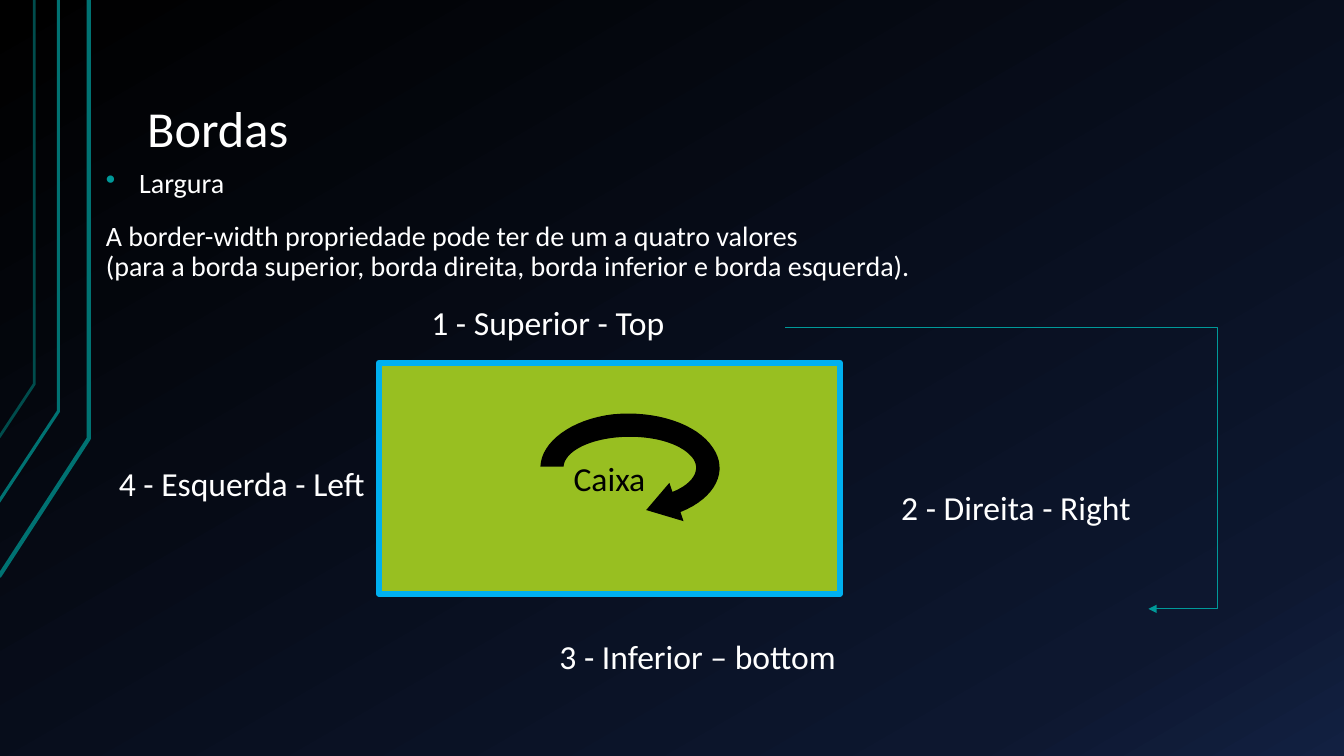
from copy import deepcopy

from pptx import Presentation, util as u
from pptx.dml.color import RGBColor
from pptx.enum import shapes, text
from pptx.oxml import ns, xmlchemy

INK = {"white": "FFFFFF", "black": "000000", "navy": "0D172F", "blue": "122041",
       "teal": "009999", "deep": "007272", "dim": "004C4C",
       "lime": "98BF21", "sky": "00B0F0"}
COLS, ROWS = 13.33, 7.5  # grid of one-inch columns and rows


def cell(*nums):
    return [u.Inches(n) for n in nums]


def rgb(name):
    return RGBColor.from_string(INK[name])


def node(parent, tag, **attrs):
    kid = xmlchemy.OxmlElement(tag)
    for key, val in attrs.items():
        kid.set(key, val)
    parent.append(kid)
    return kid


def backdrop(slide, stops, angle):
    fill = slide.background.fill
    fill.gradient()
    fill.gradient_angle = angle
    last = list(slide.element.iter(ns.qn("a:gs")))[-1]
    last.addnext(deepcopy(last))
    for stop, (pos, ink) in zip(fill.gradient_stops, stops):
        stop.position = pos
        stop.color.rgb = rgb(ink)


def style(para, size, ink="white"):
    font = para.font
    font.name, font.size = "Calibri", u.Pt(size)
    font.color.rgb = rgb(ink)


def block(slide, box, pad=(0.1, 0.05), anchor=text.MSO_ANCHOR.TOP):
    frame = slide.shapes.add_textbox(*cell(*box)).text_frame
    frame.word_wrap = True
    frame.vertical_anchor = anchor
    frame.margin_left = frame.margin_right = u.Inches(pad[0])
    frame.margin_top = frame.margin_bottom = u.Inches(pad[1])
    return frame


def write(para, words, size, space=None):
    for i, line in enumerate(words.split("\n")):
        if i:
            para.add_line_break()
        para.add_run().text = line
    style(para, size)
    para.line_spacing = space


def bullet(para, ink):
    props = para._p.get_or_add_pPr()
    props.set("marL", str(u.Inches(0.33)))
    props.set("indent", str(-u.Inches(0.33)))
    mark = xmlchemy.OxmlElement("a:buClr")
    node(mark, "a:srgbClr", val=INK[ink])
    char = xmlchemy.OxmlElement("a:buChar")
    char.set("char", "•")
    at = len(props.findall(ns.qn("a:lnSpc")))
    props.insert(at, mark)
    props.insert(at + 1, char)


def outline(slide, points, close=False):
    first, *rest = [cell(*p) for p in points]
    pen = slide.shapes.build_freeform(*first)
    pen.add_line_segments(rest, close=close)
    shape = pen.convert_to_shape()
    shape.shadow.inherit = False
    return shape


def rail(slide, x, bend, left, foot, ink, width):
    shape = outline(slide, [(left, foot), (x, bend), (x, 0)])
    shape.fill.background()
    shape.line.color.rgb = rgb(ink)
    shape.line.width = u.Pt(width)


def curve(a, b, c, d, steps=16):
    for i in range(1, steps + 1):
        t = i / steps
        s = 1 - t
        yield tuple(s**3 * p + 3 * s * s * t * q + 3 * s * t * t * r + t**3 * v
                    for p, q, r, v in zip(a, b, c, d))


def swirl(slide, ink):
    # Outer arc, arrowhead, then inner arc back to the start
    moves = [[(5.37, 4.38), (5.67, 4.16), (6.08, 4.11)],
             [(6.5, 4.07), (6.91, 4.2), (7.07, 4.44)],
             [(7.23, 4.67), (7.1, 4.94), (6.75, 5.08)],
             [(6.78, 5.17)], [(6.41, 5.06)], [(6.64, 4.79)], [(6.67, 4.88)],
             [(6.9, 4.79), (6.97, 4.63), (6.84, 4.51)],
             [(6.71, 4.38), (6.41, 4.31), (6.11, 4.34)],
             [(5.81, 4.37), (5.6, 4.49), (5.59, 4.63)]]
    points = [(5.36, 4.63)]
    for move in moves:
        points += curve(points[-1], *move) if len(move) == 3 else move
    shape = outline(slide, points, close=True)
    shape.fill.solid()
    shape.fill.fore_color.rgb = rgb(ink)
    shape.line.fill.background()


def panel(slide, box, words):
    shape = slide.shapes.add_shape(shapes.MSO_SHAPE.RECTANGLE, *cell(*box))
    shape.shadow.inherit = False
    shape.fill.solid()
    shape.fill.fore_color.rgb = rgb("lime")
    shape.line.color.rgb = rgb("sky")
    shape.line.width = u.Pt(4.5)
    shape.text_frame.vertical_anchor = text.MSO_ANCHOR.MIDDLE
    para = shape.text_frame.paragraphs[0]
    para.text = words
    para.alignment = text.PP_ALIGN.CENTER
    style(para, 24, "black")


def elbow(slide, start, end, bend, ink):
    link = slide.shapes.add_connector(shapes.MSO_CONNECTOR.ELBOW,
                                      *cell(*start, *end))
    link.line.color.rgb = rgb(ink)
    link.line.width = u.Pt(0.75)
    props = link._element.spPr
    guides = next(props.iter(ns.qn("a:prstGeom"))).get_or_add_avLst()
    node(guides, "a:gd", name="adj1", fmla=f"val {round(bend * 100000)}")
    node(link.line._get_or_add_ln(), "a:tailEnd", type="triangle")
    node(props, "a:effectLst")


def main():
    deck = Presentation()
    deck.slide_width, deck.slide_height = cell(COLS, ROWS)
    slide = deck.slides.add_slide(deck.slide_layouts[6])

    # Background and side rails
    backdrop(slide, [(0, "black"), (0.85, "navy"), (1, "blue")], 300)
    rail(slide, 0.88, 4.35, -0.01, 5.72, "deep", 3)
    rail(slide, 0.58, 4.08, -0.02, 4.99, "deep", 2.25)
    rail(slide, 0.34, 3.81, -0.01, 4.34, "dim", 2)

    # Title and body
    pad = (0.13, 0.07)
    head = block(slide, (1.33, 0.3, 11.33, 1.34), pad, text.MSO_ANCHOR.BOTTOM)
    write(head.paragraphs[0], "Bordas", 36, 0.9)
    body = block(slide, (0.92, 1.61, 11.5, 0.48), pad)
    write(body.paragraphs[0], "Largura", 20, 0.9)
    bullet(body.paragraphs[0], "teal")
    para = body.add_paragraph()
    write(para, "A border-width propriedade pode ter de um a quatro valores\n"
          "(para a borda superior, borda direita, borda inferior e borda esquerda).",
          20, 0.9)
    para.space_before = u.Pt(16)

    # Box and its four sides
    panel(slide, (3.76, 3.6, 4.57, 2.29), "Caixa")
    for x, y, wide, words in [(4.18, 2.95, 2.82, "1 - Superior - Top"),
                              (5.45, 6.26, 3.05, "3 - Inferior – bottom"),
                              (1.08, 4.54, 2.67, "4 - Esquerda - Left"),
                              (8.84, 4.78, 2.49, "2 - Direita - Right")]:
        write(block(slide, (x, y, wide, 0.5)).paragraphs[0], words, 24)

    # Arrows
    elbow(slide, (7.79, 3.25), (11.39, 6.04), 1.19, "teal")
    swirl(slide, "black")
    deck.save("out.pptx")


if __name__ == "__main__":
    main()
